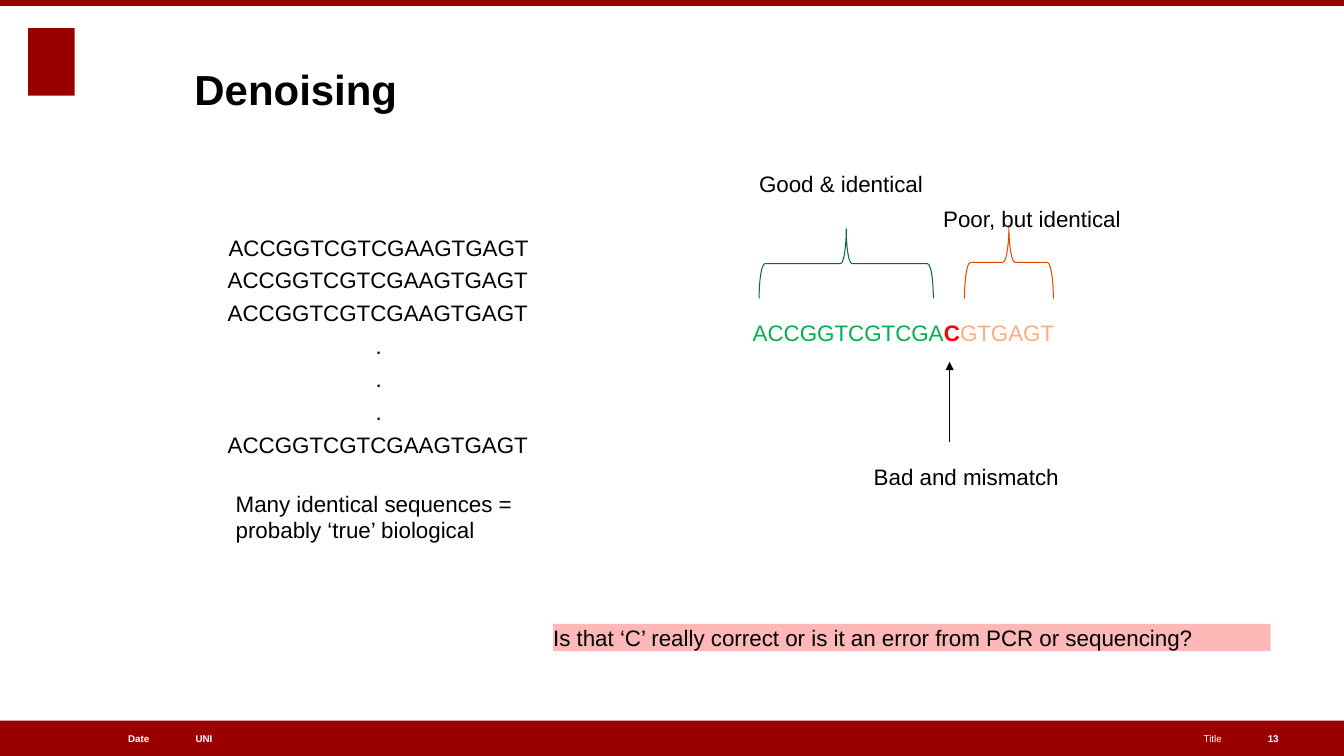
from lxml import etree
from pptx import Presentation
from pptx.dml.color import RGBColor
from pptx.enum.shapes import MSO_CONNECTOR, MSO_SHAPE
from pptx.enum.text import MSO_ANCHOR as Anchor, PP_ALIGN as Align
from pptx.oxml.ns import qn
from pptx.util import Cm, Pt

BLACK = RGBColor(0x00, 0x00, 0x00)
WHITE = RGBColor(0xFF, 0xFF, 0xFF)
DARK_RED = RGBColor(0x99, 0x00, 0x00)
GOOD_GREEN = RGBColor(0x00, 0xB0, 0x50)
MISMATCH_RED = RGBColor(0xFF, 0x00, 0x00)
POOR_ORANGE = RGBColor(0xFD, 0xAD, 0x85)
BRACE_GREEN = RGBColor(0x0F, 0x68, 0x41)
BRACE_ORANGE = RGBColor(0xE1, 0x4C, 0x03)
PINK = RGBColor(0xFF, 0xB8, 0xB8)

SLIDE_WIDTH, SLIDE_HEIGHT = 33.87, 19.05
FOOTER_TOP, FOOTER_HEIGHT = 18.16, 0.89
LINE_HEIGHT = 0.69
INSET = (0.25, 0.13)
SEQUENCE = "ACCGGTCGTCGAAGTGAGT"
DOT_INDENT = 3.73


def style(paragraph, size=16, color=BLACK, bold=False, align=Align.LEFT, before=4.3):
    paragraph.font.name = "Arial"
    paragraph.font.size = Pt(size)
    paragraph.font.bold = bold
    paragraph.font.color.rgb = color
    paragraph.alignment = align
    paragraph.space_before = Pt(before)


def prepare_frame(frame, inset=(0, 0), anchor=Anchor.TOP, wrap=True):
    frame.margin_left = frame.margin_right = Cm(inset[0])
    frame.margin_top = frame.margin_bottom = Cm(inset[1])
    frame.vertical_anchor = anchor
    frame.word_wrap = wrap


def add_text(slide, box, lines, inset=(0, 0), anchor=Anchor.TOP, wrap=True, **font):
    """Add a text box with one paragraph per line and return its paragraphs."""
    frame = slide.shapes.add_textbox(*map(Cm, box)).text_frame
    prepare_frame(frame, inset, anchor, wrap)
    frame.text = "\n".join(lines)
    for paragraph in frame.paragraphs:
        style(paragraph, **font)
    return frame.paragraphs


def add_bar(slide, box, color):
    bar = slide.shapes.add_shape(MSO_SHAPE.RECTANGLE, *map(Cm, box))
    bar.shadow.inherit = False
    bar.fill.solid()
    bar.fill.fore_color.rgb = color
    bar.line.fill.background()
    return bar


def add_brace(slide, box, color):
    brace = slide.shapes.add_shape(MSO_SHAPE.LEFT_BRACE, *map(Cm, box))
    brace.shadow.inherit = False
    brace.rotation = 90
    brace.fill.background()
    brace.line.color.rgb = color
    brace.line.width = Pt(0.75)


def add_arrow(slide, start, end):
    arrow = slide.shapes.add_connector(MSO_CONNECTOR.STRAIGHT, *map(Cm, start + end))
    arrow.line.color.rgb = BLACK
    arrow.line.width = Pt(0.75)
    etree.SubElement(arrow.line._get_or_add_ln(), qn("a:tailEnd"), type="triangle")
    etree.SubElement(arrow._element.spPr, qn("a:effectLst"))


def add_frame(slide):
    # Emblem, bars and footer
    add_bar(slide, (0.71, 0.71, 1.17, 1.7), DARK_RED)
    add_bar(slide, (0, FOOTER_TOP, SLIDE_WIDTH, FOOTER_HEIGHT), DARK_RED)
    add_bar(slide, (0, 0, SLIDE_WIDTH, 0.15), DARK_RED)
    for label, left, width, bold, align in (
        ("UNI", 4.93, 9.45, True, Align.LEFT),
        ("Date", 0.69, 3.07, True, Align.RIGHT),
        ("Title", 15.52, 15.27, False, Align.RIGHT),
        ("13", 31.95, 1.19, True, Align.LEFT),
    ):
        add_text(slide, (left, FOOTER_TOP, width, FOOTER_HEIGHT), [label],
                 anchor=Anchor.MIDDLE, size=7, color=WHITE, bold=bold,
                 align=align, before=0)


def add_identical_reads(slide):
    # Stack of identical sequences and its conclusion
    add_text(slide, (5.51, 5.77, 8.46, 0.94), [SEQUENCE], inset=INSET)
    reads = [SEQUENCE] * 2 + ["."] * 3 + [SEQUENCE]
    for read in add_text(slide, (5.74, 6.71, 8.03, 4.83), reads):
        if read.text == ".":
            read._p.get_or_add_pPr().set("marL", str(Cm(DOT_INDENT)))
    add_text(slide, (5.94, 12.34, 7.59, 1.37),
             ["Many identical sequences = probably ‘true’ biological"])


def add_mismatched_read(slide):
    # Sequence coloured by quality
    read = add_text(slide, (18.72, 7.92, 8.41, 0.94), [""], inset=INSET)[0]
    for bases, color, bold in (
        ("ACCGGTCGTCGA", GOOD_GREEN, False),
        ("C", MISMATCH_RED, True),
        ("GTGAGT", POOR_ORANGE, False),
    ):
        run = read.add_run()
        run.text = bases
        run.font.color.rgb = color
        run.font.bold = bold

    # Braces, arrow and their labels
    add_brace(slide, (20.45, 4.45, 1.75, 4.39), BRACE_GREEN)
    add_text(slide, (19.13, 4.29, 4.8, LINE_HEIGHT), ["Good & identical"])
    add_brace(slide, (24.51, 5.49, 1.83, 2.24), BRACE_ORANGE)
    add_text(slide, (23.77, 5.18, 5.21, LINE_HEIGHT), ["Poor, but identical"])
    add_arrow(slide, (23.93, 11.13), (23.93, 9.12))
    add_text(slide, (22.02, 11.66, 4.72, LINE_HEIGHT), ["Bad and mismatch"], wrap=False)


def add_question(slide):
    # Highlighted question
    question = add_bar(slide, (13.94, 15.72, 18.08, LINE_HEIGHT), PINK).text_frame
    prepare_frame(question)
    question.text = "Is that ‘C’ really correct or is it an error from PCR or sequencing?"
    style(question.paragraphs[0])


def main():
    deck = Presentation()
    deck.slide_width, deck.slide_height = Cm(SLIDE_WIDTH), Cm(SLIDE_HEIGHT)
    slide = deck.slides.add_slide(deck.slide_layouts[6])
    add_frame(slide)
    add_text(slide, (4.9, 0.33, 23.14, 3.81), ["Denoising"],
             anchor=Anchor.MIDDLE, size=30, bold=True, before=0)
    add_identical_reads(slide)
    add_mismatched_read(slide)
    add_question(slide)
    deck.save("out.pptx")


if __name__ == "__main__":
    main()
